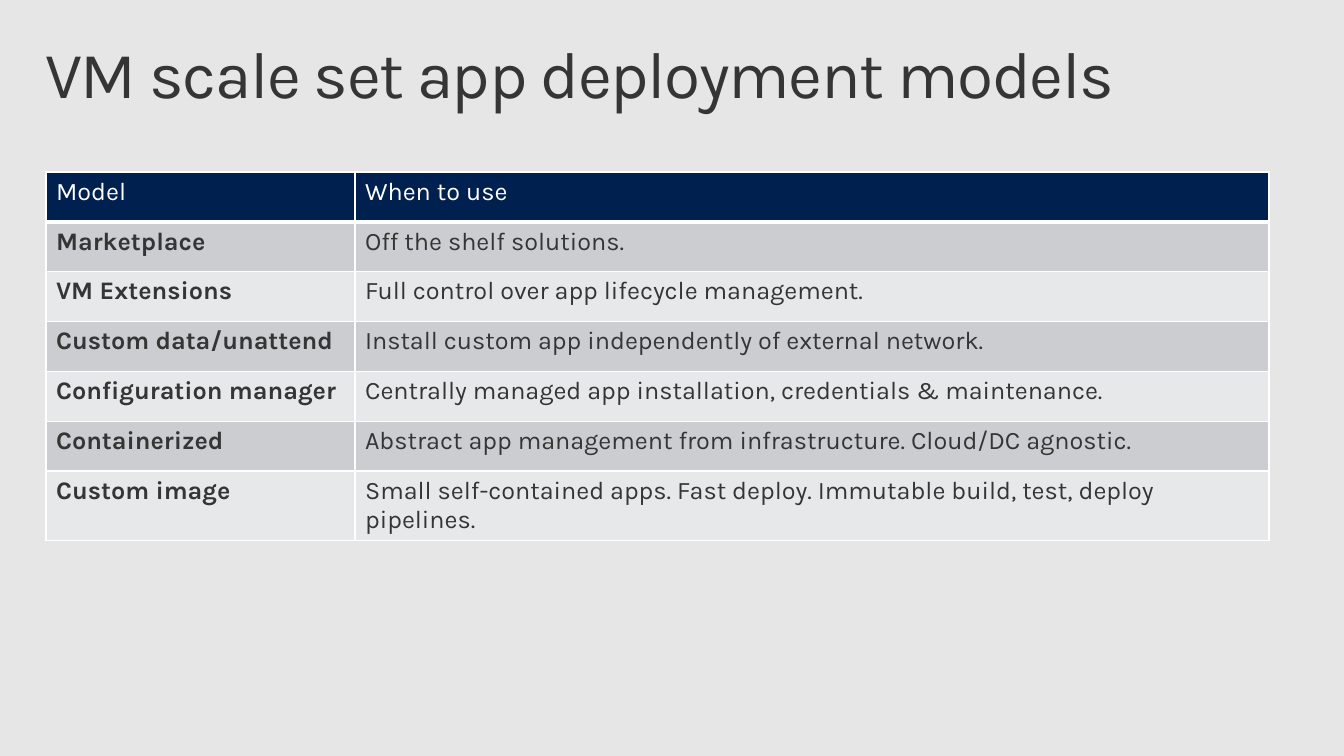
from lxml import etree
from pptx import Presentation
from pptx import util as u
from pptx.dml.color import RGBColor
from pptx.enum import text
from pptx.oxml.ns import qn

SCALE = 914400 / 100.8
FONT = "Karla"
COLORS = {
    "back": "E6E6E6",
    "ink": "353535",
    "white": "FFFFFF",
    "head": "002050",
    "dark": "CCCDD0",
    "light": "E7E8E9",
}
ROWS = [
    ("Model", "When to use"),
    ("Marketplace", "Off the shelf solutions."),
    ("VM Extensions", "Full control over app lifecycle management."),
    ("Custom data/unattend", "Install custom app independently of external network."),
    ("Configuration manager",
     "Centrally managed app installation, credentials & maintenance."),
    ("Containerized",
     "Abstract app management from infrastructure. Cloud/DC agnostic."),
    ("Custom image",
     "Small self-contained apps. Fast deploy. Immutable build, test, deploy pipelines."),
]


def px(n):
    return u.Emu(round(n * SCALE))


def paint(fill, name):
    fill.solid()
    fill.fore_color.rgb = RGBColor.from_string(COLORS[name])


def style(para, size, color, bold=False):
    font = para.font
    font.name, font.size, font.bold = FONT, u.Pt(size), bold
    paint(font.fill, color)


def add_title(slide, words):
    title = slide.shapes.title
    title.left, title.top = px(29), px(32)
    title.width, title.height = px(1285), px(99)
    frame = title.text_frame
    frame.text = words
    frame.word_wrap = True
    frame.auto_size = text.MSO_AUTO_SIZE.NONE
    frame.vertical_anchor = text.MSO_ANCHOR.TOP
    frame.margin_left = frame.margin_right = px(16)
    frame.margin_top = frame.margin_bottom = px(10)
    para = frame.paragraphs[0]
    para.alignment = text.PP_ALIGN.LEFT
    para.line_spacing = 0.9
    style(para, 47, "ink")
    # Tighter letter spacing, in hundredths of a point
    para.runs[0]._r.get_or_add_rPr().set("spc", "-100")


def add_edges(cell, base):
    props = cell._tc.get_or_add_tcPr()
    for side in "LRTB":
        width = base if side == "B" else 1
        line = etree.SubElement(props, qn(f"a:ln{side}"), w=str(u.Pt(width)))
        solid = etree.SubElement(line, qn("a:solidFill"))
        etree.SubElement(solid, qn("a:srgbClr"), val=COLORS["white"])


def add_grid(slide, rows, widths):
    frame = slide.shapes.add_table(
        len(rows), len(widths), px(46), px(172), px(sum(widths)), px(349))
    table = frame.table
    for col, width in zip(table.columns, widths):
        col.width = px(width)
    for r, row in enumerate(rows):
        head = r == 0
        band = "head" if head else ("light", "dark")[r % 2]
        for c, words in enumerate(row):
            cell = table.cell(r, c)
            cell.text = words
            add_edges(cell, 3 if head else 1)
            paint(cell.fill, band)
            style(cell.text_frame.paragraphs[0], 18,
                  "white" if head else "ink", bold=c == 0 and not head)


def main():
    # Slide and background
    deck = Presentation()
    deck.slide_width, deck.slide_height = px(1344), px(756)
    slide = deck.slides.add_slide(deck.slide_layouts[5])
    paint(slide.background.fill, "back")

    # Title and table of models
    add_title(slide, "VM scale set app deployment models")
    add_grid(slide, ROWS, (309, 914))

    deck.save("out.pptx")


if __name__ == "__main__":
    main()
